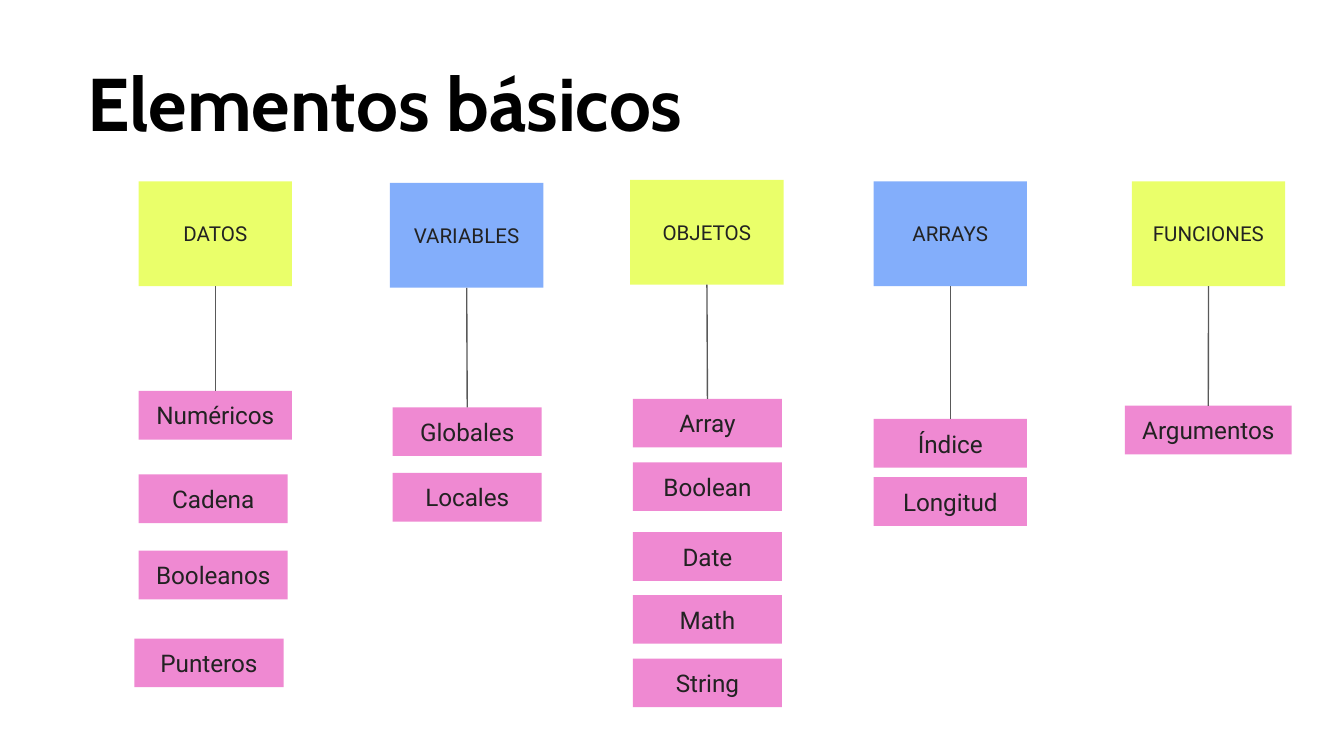
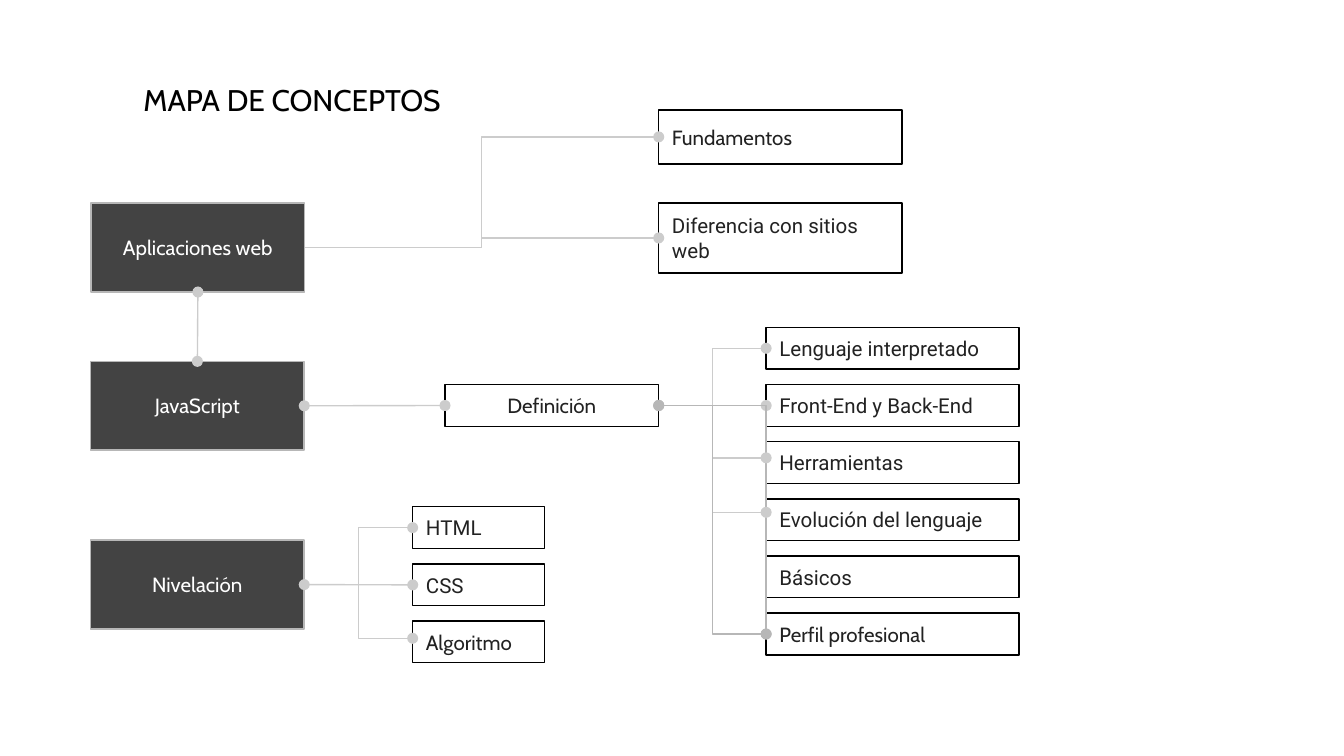
from typing import NamedTuple

from lxml.etree import SubElement
from pptx import Presentation
from pptx.dml.color import RGBColor
from pptx.enum.shapes import MSO_CONNECTOR, MSO_SHAPE
from pptx.enum.text import MSO_ANCHOR, MSO_AUTO_SIZE, PP_ALIGN
from pptx.oxml.ns import qn
from pptx.util import Cm, Pt

BLACK = RGBColor(0x00, 0x00, 0x00)
WHITE = RGBColor(0xFF, 0xFF, 0xFF)
INK = RGBColor(0x22, 0x22, 0x22)
CHARCOAL = RGBColor(0x43, 0x43, 0x43)
STEM_GRAY = RGBColor(0x59, 0x59, 0x59)
EDGE_GRAY = RGBColor(0xB7, 0xB7, 0xB7)
LINK_GRAY = RGBColor(0xCC, 0xCC, 0xCC)
LIME = RGBColor(0xEA, 0xFF, 0x6A)
BLUE = RGBColor(0x83, 0xAE, 0xFB)
PINK = RGBColor(0xEF, 0x89, 0xD2)

CABIN, ROBOTO = "Cabin", "Roboto"
TITLE_ONLY = 5
INSET = Cm(0.25)
HAIRLINE = Pt(0.75)
TOP, LEFT, BOTTOM, RIGHT = range(4)
HEADER_WIDTH, HEADER_HEIGHT, ITEM_HEIGHT = 2.9, 1.98, 0.92
CONCEPT_WIDTH, CONCEPT_HEIGHT = 4.04, 1.68
ROW_HEIGHT, ROW_STEP = 0.79, 1.08
TAIL_DOT = ("tailEnd",)
BOTH_DOTS = ("headEnd", "tailEnd")


class Item(NamedTuple):
    """Item of a column, placed by its drop and indent from the header corner."""
    label: str
    drop: float
    indent: float = 0.05
    width: float = 2.82


def set_text(shape, text, font, size, color, align=PP_ALIGN.LEFT,
             anchor=MSO_ANCHOR.MIDDLE, bold=False):
    """Write one formatted paragraph into a shape."""
    frame = shape.text_frame
    frame.text = text
    frame.word_wrap = True
    frame.auto_size = MSO_AUTO_SIZE.NONE
    frame.vertical_anchor = anchor
    frame.margin_left = frame.margin_right = INSET
    frame.margin_top = frame.margin_bottom = INSET
    paragraph = frame.paragraphs[0]
    paragraph.alignment = align
    run_font = paragraph.runs[0].font
    run_font.name, run_font.size, run_font.bold = font, Pt(size), bold
    run_font.color.rgb = color


def add_titled_slide(prs, text, box, size, bold=False, spacing=1.0):
    """Add a title-only slide with its title in the given box."""
    slide = prs.slides.add_slide(prs.slide_layouts[TITLE_ONLY])
    title = slide.shapes.title
    title.left, title.top, title.width, title.height = map(Cm, box)
    set_text(title, text, CABIN, size, BLACK, anchor=MSO_ANCHOR.TOP, bold=bold)
    title.text_frame.paragraphs[0].line_spacing = spacing
    return slide


def add_box(slide, text, box, font=ROBOTO, size=11, color=INK, fill=None,
            edge=None, align=PP_ALIGN.CENTER):
    """Add a labelled rectangle."""
    rectangle = slide.shapes.add_shape(MSO_SHAPE.RECTANGLE, *map(Cm, box))
    rectangle.shadow.inherit = False
    if fill is None:
        rectangle.fill.background()
    else:
        rectangle.fill.solid()
        rectangle.fill.fore_color.rgb = fill
    if edge is None:
        rectangle.line.fill.background()
    else:
        rectangle.line.color.rgb = edge
        rectangle.line.width = HAIRLINE
    set_text(rectangle, text, font, size, color, align)
    return rectangle


def style_link(link, color, dots):
    """Colour a connector, remove its shadow and add round ends."""
    link.line.color.rgb = color
    link.line.width = HAIRLINE
    properties = link._element.spPr
    for dot in dots:
        SubElement(properties.find(qn("a:ln")), qn(f"a:{dot}"), type="oval")
    SubElement(properties, qn("a:effectLst"))


def join(slide, start, start_side, end, end_side, color=LINK_GRAY, dots=BOTH_DOTS):
    """Join the sides of two boxes with a straight connector."""
    link = slide.shapes.add_connector(MSO_CONNECTOR.STRAIGHT, 0, 0, 0, 0)
    link.begin_connect(start, start_side)
    link.end_connect(end, end_side)
    style_link(link, color, dots)


def branch(slide, start, end, rise=0, color=LINK_GRAY, dots=TAIL_DOT):
    """Draw an elbow from a box's right side to another's left side."""
    link = slide.shapes.add_connector(
        MSO_CONNECTOR.ELBOW,
        start.left + start.width, start.top + start.height // 2,
        end.left, end.top + end.height // 2 - Cm(rise))
    style_link(link, color, dots)
    return link


def add_column(slide, left, top, heading, fill, items):
    """Draw a header, its items below and the stem to the first item."""
    header = add_box(slide, heading, (left, top, HEADER_WIDTH, HEADER_HEIGHT), fill=fill)
    boxes = [add_box(slide, item.label,
                     (left + item.indent, top + item.drop, item.width, ITEM_HEIGHT),
                     size=13, fill=PINK)
             for item in items]
    join(slide, boxes[0], TOP, header, BOTTOM, STEM_GRAY, ())


def add_rows(slide, left, top, width, rows, fill=None):
    """Stack evenly spaced outlined rows and return them."""
    return [add_box(slide, label, (left, top + index * ROW_STEP, width, ROW_HEIGHT),
                    font, fill=fill, edge=BLACK, align=PP_ALIGN.LEFT)
            for index, (label, font) in enumerate(rows)]


def add_concept(slide, label, left, top):
    """Draw a dark main concept."""
    return add_box(slide, label, (left, top, CONCEPT_WIDTH, CONCEPT_HEIGHT),
                   CABIN, color=WHITE, fill=CHARCOAL, edge=EDGE_GRAY)


def add_web_apps(slide, left, top):
    """Draw the web applications concept and its two branches."""
    web_apps = add_concept(slide, "Aplicaciones web", left, top)
    for label, drop, height, font in (("Fundamentos", -1.76, 1.02, CABIN),
                                      ("Diferencia con sitios web", 0, 1.32, ROBOTO)):
        aspect = add_box(slide, label, (left + 10.73, top + drop, 4.6, height), font,
                         edge=BLACK, align=PP_ALIGN.LEFT)
        branch(slide, web_apps, aspect)
    return web_apps


def add_javascript(slide, left, top):
    """Draw the JavaScript concept, its definition and the topics."""
    javascript = add_concept(slide, "JavaScript", left, top)
    definition = add_box(slide, "Definición",
                         (left + 6.7, top + 0.44, CONCEPT_WIDTH, ROW_HEIGHT),
                         CABIN, edge=BLACK)
    interpreted, ends, tools, evolution, _, profile = add_rows(
        slide, left + 12.77, top - 0.64, 4.78,
        [("Lenguaje interpretado", ROBOTO), ("Front-End y Back-End", ROBOTO),
         ("Herramientas", ROBOTO), ("Evolución del lenguaje", ROBOTO),
         ("Básicos", ROBOTO), ("Perfil profesional", CABIN)])
    join(slide, javascript, RIGHT, definition, LEFT)
    join(slide, definition, RIGHT, ends, LEFT)
    branch(slide, definition, interpreted)
    corner = branch(slide, definition, profile, color=EDGE_GRAY, dots=BOTH_DOTS)
    corner._element.spPr.find(qn("a:prstGeom")).set("prst", "bentConnector2")
    branch(slide, definition, tools, rise=0.09)
    branch(slide, definition, evolution, rise=0.14)
    branch(slide, definition, profile, color=EDGE_GRAY, dots=BOTH_DOTS)
    return javascript


def add_leveling(slide, left, top):
    """Draw the leveling concept and its three subjects."""
    leveling = add_concept(slide, "Nivelación", left, top)
    html, css, algorithm = add_rows(
        slide, left + 6.09, top - 0.63, 2.49,
        [("HTML", ROBOTO), ("CSS", ROBOTO), ("Algoritmo", CABIN)])
    join(slide, leveling, RIGHT, css, LEFT)
    branch(slide, leveling, html)
    branch(slide, leveling, algorithm, rise=0.07)


def build_basic_elements(prs):
    """Build the slide of basic elements."""
    slide = add_titled_slide(prs, "Elementos básicos", (1.4, 1.02, 22.61, 2.06),
                             40, bold=True, spacing=0.9)
    add_column(slide, 2.62, 3.43, "DATOS", LIME, [
        Item("Numéricos", 3.96, 0, 2.9), Item("Cadena", 5.54, 0),
        Item("Booleanos", 6.98, 0), Item("Punteros", 8.64, -0.08)])
    add_column(slide, 7.37, 3.46, "VARIABLES", BLUE, [
        Item("Globales", 4.24), Item("Locales", 5.48)])
    add_column(slide, 11.91, 3.4, "OBJETOS", LIME, [
        Item("Array", 4.14), Item("Boolean", 5.34), Item("Date", 6.66),
        Item("Math", 7.85), Item("String", 9.05)])
    add_column(slide, 16.51, 3.43, "ARRAYS", BLUE, [
        Item("Índice", 4.49, 0, 2.9), Item("Longitud", 5.59, 0, 2.9)])
    add_column(slide, 21.39, 3.43, "FUNCIONES", LIME, [
        Item("Argumentos", 4.24, -0.13, 3.15)])


def build_concept_map(prs):
    """Build the concept map slide."""
    slide = add_titled_slide(prs, "MAPA DE CONCEPTOS", (2.46, 1.3, 6.83, 1.19), 16)
    web_apps = add_web_apps(slide, 1.72, 3.84)
    javascript = add_javascript(slide, 1.71, 6.83)
    join(slide, javascript, TOP, web_apps, BOTTOM)
    add_leveling(slide, 1.71, 10.21)


def main():
    """Build and save the presentation."""
    prs = Presentation()
    prs.slide_width, prs.slide_height = Cm(25.4), Cm(14.29)
    build_basic_elements(prs)
    build_concept_map(prs)
    prs.save("out.pptx")


if __name__ == "__main__":
    main()
